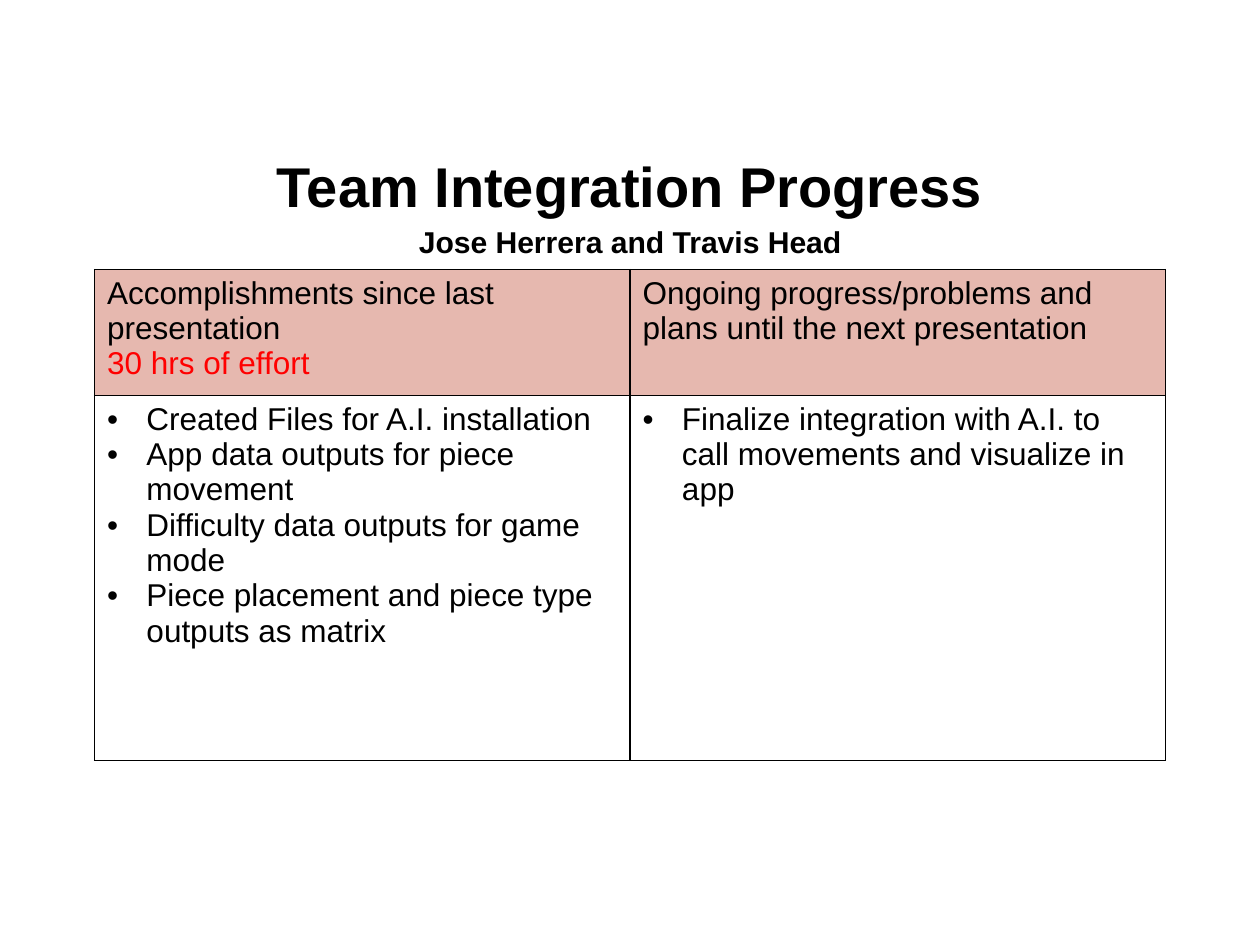
import pptx
import pptx.dml.color
import pptx.enum.text
import pptx.oxml.ns
import pptx.util
from lxml import etree

Pt = pptx.util.Pt
COLORS = {"text": "000000", "effort": "FF0000", "header": "E6B8AF", "border": "000000"}
FONT = "Arial"
INDENT = Pt(22.5)

HEADERS = [
    ["Accomplishments since last presentation", "30 hrs of effort"],
    ["Ongoing progress/problems and plans until the next presentation"],
]
ITEMS = [
    [
        "Created Files for A.I. installation",
        "App data outputs for piece movement",
        "Difficulty data outputs for game mode",
        "Piece placement and piece type outputs as matrix",
    ],
    ["Finalize integration with A.I. to call movements and visualize in app"],
]


def rgb(name):
    return pptx.dml.color.RGBColor.from_string(COLORS[name])


def add_child(parent, tag, **attributes):
    return etree.SubElement(parent, pptx.oxml.ns.qn(tag), attributes)


def style_runs(para, size, color="text", bold=False):
    for span in para.runs:
        span.font.name = FONT
        span.font.size = Pt(size)
        span.font.bold = bold
        span.font.color.rgb = rgb(color)


def add_bullet(para):
    properties = para._p.get_or_add_pPr()
    properties.set("marL", str(INDENT))
    properties.set("indent", str(-INDENT))
    add_child(properties, "a:buFont", typeface=FONT)
    add_child(properties, "a:buChar", char="•")


def add_borders(cell):
    properties = cell._tc.get_or_add_tcPr()
    for side in "LRTB":
        line = add_child(properties, f"a:ln{side}", w=str(Pt(1)))
        fill = add_child(line, "a:solidFill")
        add_child(fill, "a:srgbClr", val=COLORS["border"])


def add_title(page, left, top, width, height):
    box = page.shapes.add_textbox(Pt(left), Pt(top), Pt(width), Pt(height))
    frame = box.text_frame
    frame.word_wrap = True
    frame.vertical_anchor = pptx.enum.text.MSO_ANCHOR.MIDDLE
    frame.text = "Team Integration Progress\nJose Herrera and Travis Head"
    for para, size in zip(frame.paragraphs, (32, 17.2)):
        para.alignment = pptx.enum.text.PP_ALIGN.CENTER
        para.line_spacing = 1.15
        style_runs(para, size, bold=True)


def fill_cell(cell, lines, is_header):
    add_borders(cell)
    if is_header:
        cell.fill.solid()
        cell.fill.fore_color.rgb = rgb("header")
    else:
        cell.fill.background()
    cell.text_frame.text = "\n".join(lines)
    for index, para in enumerate(cell.text_frame.paragraphs):
        if not is_header:
            add_bullet(para)
        style_runs(para, 18, "effort" if is_header and index else "text")


def add_progress_table(page, left, top, width, height, header_height):
    shape = page.shapes.add_table(2, 2, Pt(left), Pt(top), Pt(width), Pt(height))
    table = shape.table
    table.first_row = False
    table.horz_banding = False
    for column in table.columns:
        column.width = Pt(width / 2)
    table.rows[0].height = Pt(header_height)
    table.rows[1].height = Pt(height - header_height)
    for row, contents in enumerate((HEADERS, ITEMS)):
        for column, lines in enumerate(contents):
            fill_cell(table.cell(row, column), lines, row == 0)


def main():
    deck = pptx.Presentation()
    deck.slide_width, deck.slide_height = Pt(720), Pt(540)
    page = deck.slides.add_slide(deck.slide_layouts[6])
    add_title(page, 36, 83, 648, 63)
    add_progress_table(page, 54, 154, 612, 276, 67.5)
    deck.save("out.pptx")


if __name__ == "__main__":
    main()
